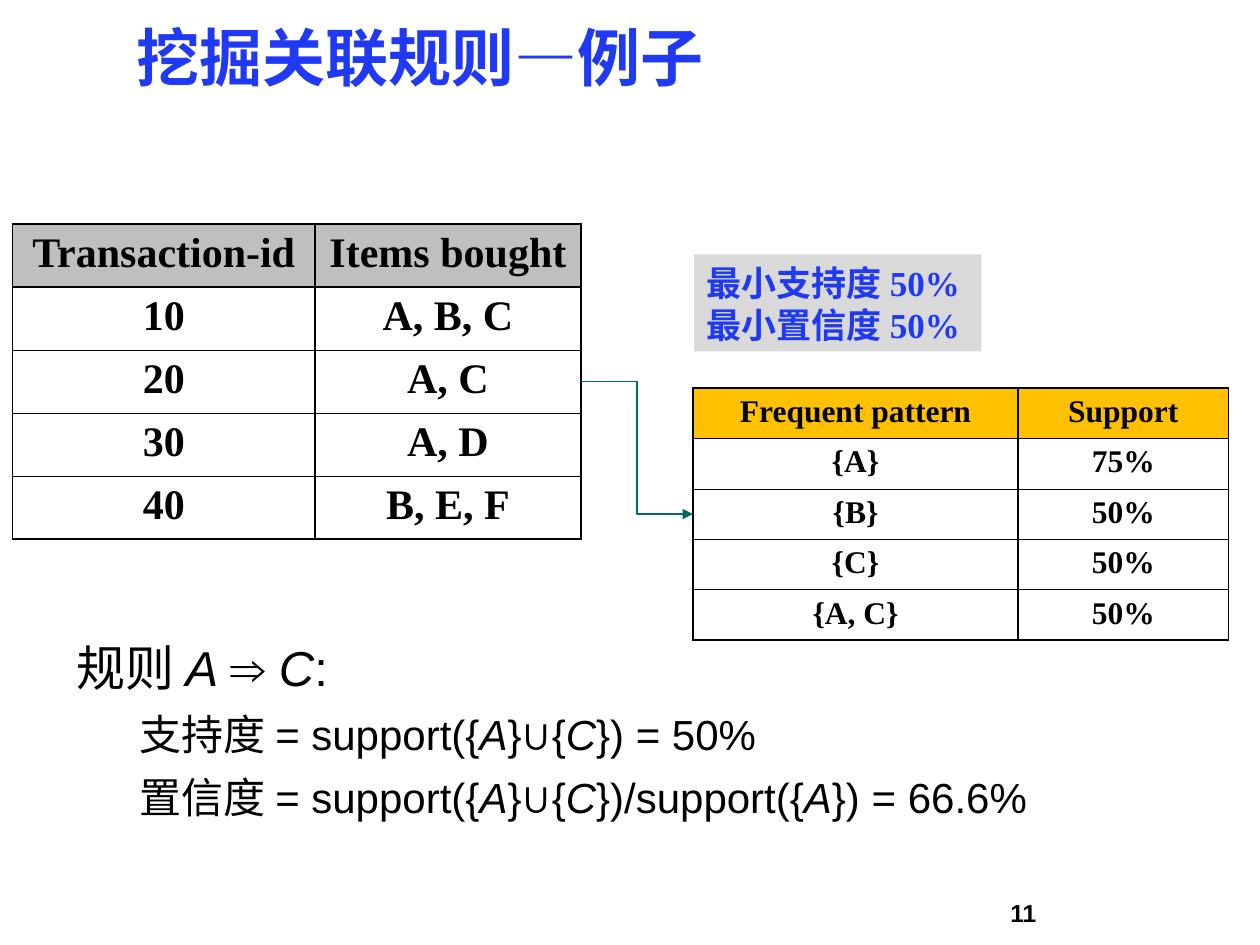
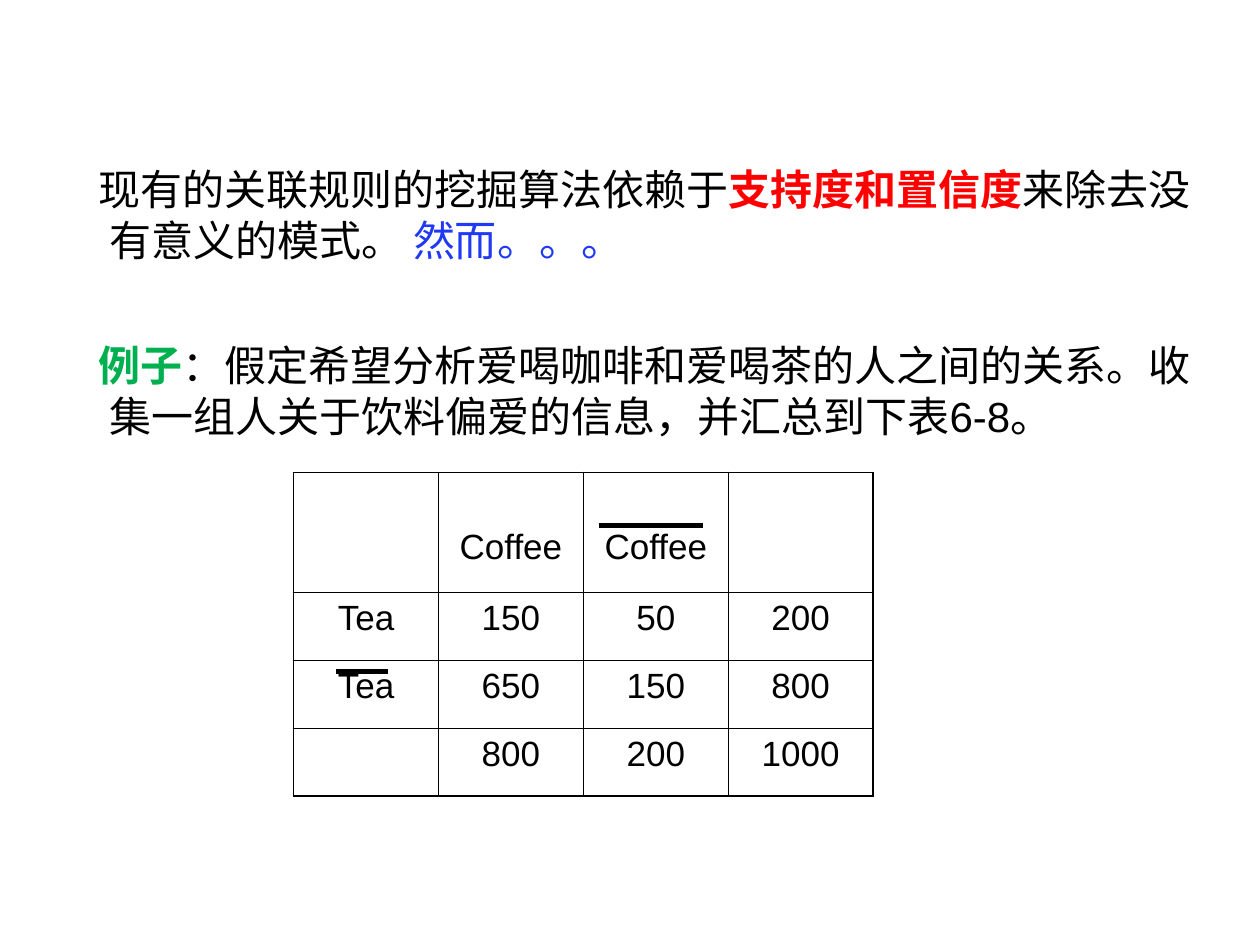
from dataclasses import dataclass

from lxml.etree import SubElement
from pptx import Presentation
from pptx.dml.color import RGBColor
from pptx.enum.shapes import MSO_CONNECTOR, MSO_SHAPE
from pptx.enum.text import MSO_ANCHOR, MSO_AUTO_SIZE, PP_ALIGN
from pptx.oxml import parse_xml
from pptx.oxml.ns import nsdecls, qn
from pptx.util import Inches, Pt


@dataclass(frozen=True)
class Theme:
    ink: str = "000000"
    blue: str = "2039F4"
    red: str = "FF0000"
    green: str = "00B050"
    teal: str = "006B61"
    grey: str = "BFBFBF"
    pale: str = "D9D9D9"
    gold: str = "FFC000"
    sans: str = "Arial"
    serif: str = "Times New Roman"
    han: str = "Noto Sans CJK SC"
    title: int = 36
    lead: int = 28
    body: int = 24
    note: int = 20
    small: int = 18
    page: int = 14
    thick: float = 1.08
    thin: float = 0.45


T = Theme()

TITLE = "挖掘关联规则—例子"
PAGE = "11"
LIMITS = ["最小支持度 50%", "最小置信度 50%"]
# Asterisks enclose italic text.
RULES = [
    "规则 *A *⇒ *C*:",
    "支持度 = support({*A*}∪{*C*}) = 50%",
    "置信度 = support({*A*}∪{*C*})/support({*A*}) = 66.6%",
]
BASKETS = [
    ("Transaction-id", "Items bought"),
    ("10", "A, B, C"),
    ("20", "A, C"),
    ("30", "A, D"),
    ("40", "B, E, F"),
]
PATTERNS = [
    ("Frequent pattern", "Support"),
    ("{A}", "75%"),
    ("{B}", "50%"),
    ("{C}", "50%"),
    ("{A, C}", "50%"),
]
STORY = [
    [
        ("现有的关联规则的挖掘算法依赖于", {}),
        ("支持度和置信度", dict(font=T.han, color=T.red, bold=True)),
        ("来除去没有意义的模式。 ", {}),
        ("然而。。。", dict(font=T.han, color=T.blue)),
    ],
    [
        ("例子", dict(font=T.han, color=T.green, bold=True)),
        ("：假定希望分析爱喝咖啡和爱喝茶的人之间的关系。"
         "收集一组人关于饮料偏爱的信息，并汇总到下表6-8。", {}),
    ],
]
DRINKS = [
    ("", "Coffee", "Coffee", ""),
    ("Tea", "150", "50", "200"),
    ("Tea", "650", "150", "800"),
    ("", "800", "200", "1000"),
]
# Left, right and height of each negation bar
BARS = [(2.67, 3.08, 5.33), (4.75, 5.58, 4.17)]


def rgb(code):
    return RGBColor.from_string(code)


def style(run, size, font=T.sans, color=T.ink, bold=False, italic=False):
    run.font.name, run.font.size = font, Pt(size)
    run.font.bold, run.font.italic = bold, italic
    run.font.color.rgb = rgb(color)
    SubElement(run.font._element, qn("a:ea")).set("typeface", T.han)


def write(para, parts, size, **look):
    """Fill a paragraph with (text, own look) runs."""
    for text, own in parts:
        run = para.add_run()
        run.text = text
        style(run, size, **{**look, **own})


def place(shape, left, top, width, height):
    shape.left, shape.top = Inches(left), Inches(top)
    shape.width, shape.height = Inches(width), Inches(height)


def indent(para, left, first, before, after=4):
    """Set a hanging indent without a bullet."""
    para.space_before, para.space_after = Pt(before), Pt(after)
    props = para._p.get_or_add_pPr()
    props.set("marL", str(Inches(left)))
    props.set("indent", str(Inches(first)))
    SubElement(props, qn("a:buNone"))


def body(slide, box, count):
    """Place the body and return its paragraphs."""
    shape = slide.placeholders[1]
    place(shape, *box)
    frame = shape.text_frame
    frame.auto_size = MSO_AUTO_SIZE.NONE
    return [frame.paragraphs[0]] + [frame.add_paragraph() for _ in range(count - 1)]


def edge(cell, sides):
    """Draw cell borders; sides go left, right, top, bottom."""
    props = cell._tc.get_or_add_tcPr()
    for i, (side, width) in enumerate(zip("LRTB", sides)):
        props.insert(i, parse_xml(
            f'<a:ln{side} {nsdecls("a")} w="{Pt(width)}"><a:solidFill>'
            f'<a:srgbClr val="{T.ink}"/></a:solidFill></a:ln{side}>'))


def grid(slide, rows, spot, widths, heights, size, head=None, before=0, after=0, **look):
    """Add a table; a head colour also brings heavy column rules."""
    frame = slide.shapes.add_table(
        len(rows), len(widths), *map(Inches, (*spot, sum(widths), sum(heights))))
    table = frame.table
    table.first_row = table.horz_banding = False
    for col, width in zip(table.columns, widths):
        col.width = Inches(width)
    for row, height in zip(table.rows, heights):
        row.height = Inches(height)
    end, last = len(rows) - 1, len(widths) - 1
    for r, row in enumerate(rows):
        for c, text in enumerate(row):
            cell = table.cell(r, c)
            if head and r == 0:
                cell.fill.solid()
                cell.fill.fore_color.rgb = rgb(head)
            else:
                cell.fill.background()
            heavy = (head or c == 0, head or c == last,
                     r == 0 or head and r == 1, r == end or head and r == 0)
            edge(cell, [T.thick if h else T.thin for h in heavy])
            if text:
                para = cell.text_frame.paragraphs[0]
                para.alignment = PP_ALIGN.CENTER
                para.space_before, para.space_after = Pt(before), Pt(after)
                write(para, [(text, {})], size, **look)
    return frame


def link(slide, kind, start, stop, color, width):
    line = slide.shapes.add_connector(kind, *start, *stop)
    line.line.color.rgb = rgb(color)
    line.line.width = Pt(width)
    SubElement(line._element.spPr, qn("a:effectLst"))
    return line


def rules(deck):
    slide = deck.slides.add_slide(deck.slide_layouts[1])
    title = slide.shapes.title
    place(title, 0.98, 0.05, 8.08, 0.75)
    title.text_frame.vertical_anchor = MSO_ANCHOR.BOTTOM
    title.text_frame.auto_size = MSO_AUTO_SIZE.NONE
    para = title.text_frame.paragraphs[0]
    para.alignment, para.line_spacing = PP_ALIGN.LEFT, Pt(T.title)
    write(para, [(TITLE, {})], T.title, font=T.han, color=T.blue, bold=True)

    paras = body(slide, (0.51, 5.01, 8.96, 1.82), len(RULES))
    for i, (para, text) in enumerate(zip(paras, RULES)):
        if i:
            para.level = 1
            indent(para, 0.88, -0.38, 3)
        else:
            indent(para, 0.32, -0.32, 3.5)
        parts = [(t, dict(italic=n % 2 == 1)) for n, t in enumerate(text.split("*"))]
        write(para, parts, T.body if i else T.lead)

    box = slide.shapes.add_shape(
        MSO_SHAPE.RECTANGLE, *map(Inches, (5.51, 2.02, 2.28, 0.77)))
    box.shadow.inherit = False
    box.fill.solid()
    box.fill.fore_color.rgb = rgb(T.pale)
    box.line.fill.background()
    frame = box.text_frame
    frame.word_wrap = False
    frame.text = "\n".join(LIMITS)
    for para in frame.paragraphs:
        para.alignment = PP_ALIGN.LEFT
        style(para.runs[0], T.note, T.serif, T.blue, True)

    look = dict(font=T.serif, bold=True)
    left = grid(slide, BASKETS, (0.1, 1.78), (2.4, 2.11), [0.5] * 5,
                T.body, T.grey, 6, **look)
    right = grid(slide, PATTERNS, (5.5, 3.08), (2.58, 1.67), [0.4] * 5,
                 T.small, T.gold, 4.5, **look)
    arrow = link(slide, MSO_CONNECTOR.ELBOW,
                 (left.left + left.width, left.top + left.height // 2),
                 (right.left, right.top + right.height // 2), T.teal, 0.75)
    SubElement(arrow._element.spPr.find(qn("a:ln")), qn("a:tailEnd")).set("type", "triangle")

    page = slide.shapes.add_textbox(*map(Inches, (7.92, 7.08, 2.08, 0.42)))
    page.text_frame.word_wrap = True
    write(page.text_frame.paragraphs[0], [(PAGE, {})], T.page, bold=True)


def drinks(deck):
    slide = deck.slides.add_slide(deck.slide_layouts[1])
    title = slide.shapes.title._element
    title.getparent().remove(title)
    paras = body(slide, (0.45, 1.25, 9.13, 5.67), len(STORY))
    for para, parts, before in zip(paras, STORY, (3, 39)):
        indent(para, 0.32, -0.09, before)
        write(para, parts, T.body)

    frame = grid(slide, DRINKS, (2.33, 3.75), [1.15] * 4, [0.95] + [0.54] * 3,
                 T.note, before=2.5, after=4)
    for c in (1, 2):
        frame.table.cell(0, c).margin_top = Inches(0.44)
    for x, end, y in BARS:
        link(slide, MSO_CONNECTOR.STRAIGHT, (Inches(x), Inches(y)),
             (Inches(end), Inches(y)), T.ink, 3)


def main():
    deck = Presentation()
    deck.slide_width, deck.slide_height = Inches(10), Inches(7.5)
    rules(deck)
    drinks(deck)
    deck.save("out.pptx")


if __name__ == "__main__":
    main()
